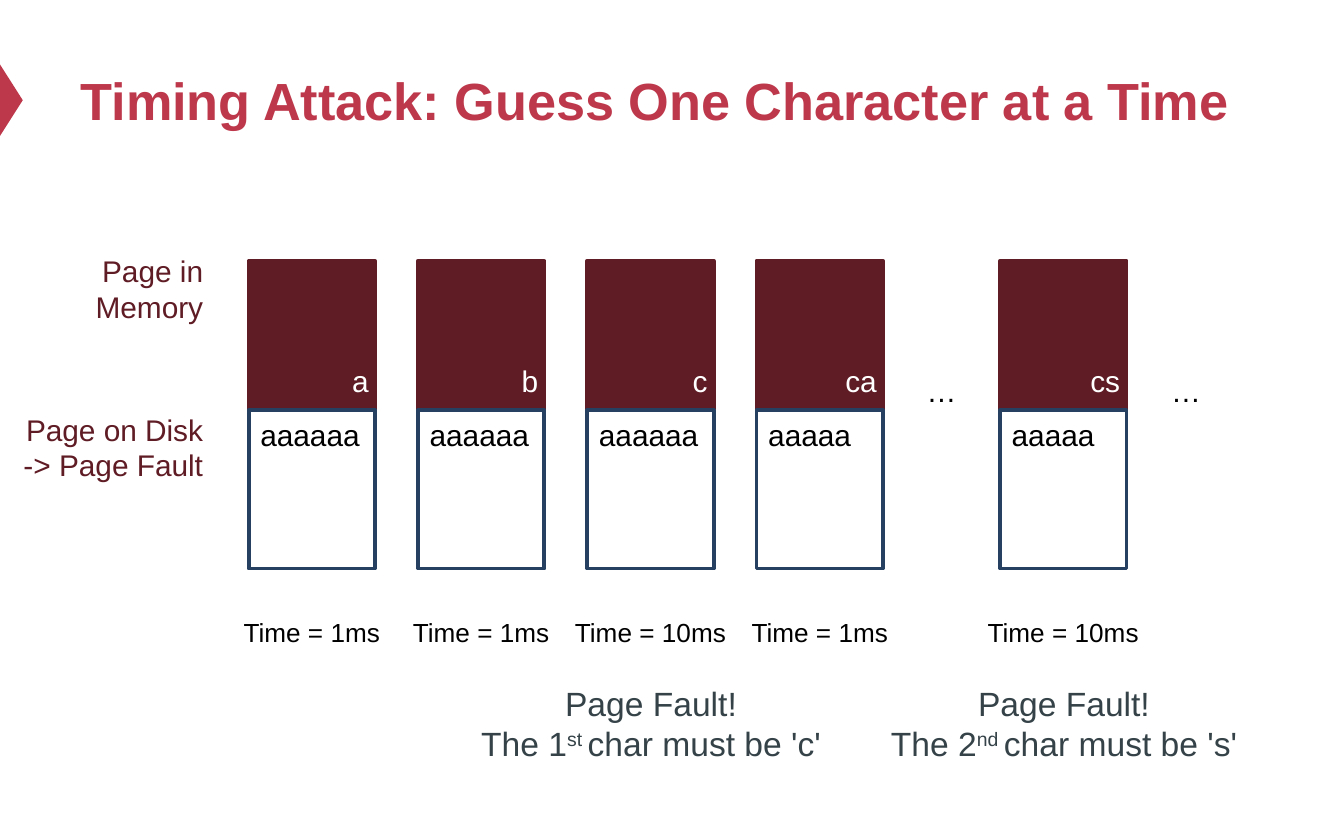
from dataclasses import dataclass

from pptx import Presentation
from pptx.dml.color import RGBColor
from pptx.enum.shapes import MSO_SHAPE as Shape
from pptx.enum.text import MSO_ANCHOR as Anchor, MSO_AUTO_SIZE as AutoSize, PP_ALIGN as Align
from pptx.util import Cm, Pt


@dataclass(frozen=True)
class Theme:
    """Colours, font and type sizes of the slide."""
    font: str = "Arial"
    accent: str = "BE384B"
    memory: str = "5F1C25"
    disk: str = "254061"
    verdict: str = "354348"
    black: str = "000000"
    white: str = "FFFFFF"
    title_size: int = 28
    verdict_size: int = 18
    body_size: int = 16
    time_size: int = 14
    border: int = 2


class SlideBuilder:
    """Adds styled elements to the current slide."""

    def __init__(self, slide, theme):
        self.slide = slide
        self.theme = theme

    def run(self, paragraph, text, size, color, bold=False, raised=False):
        """Add one styled run."""
        run = paragraph.add_run()
        run.text = text
        run.font.name = self.theme.font
        run.font.size = Pt(size)
        run.font.bold = bold
        run.font.color.rgb = RGBColor.from_string(color)
        if raised:
            run.font._element.set("baseline", "30000")

    def title(self, text, left, top, width, height):
        """Place and fill the title placeholder."""
        title = self.slide.shapes.title
        title.left, title.top, title.width, title.height = map(Cm, (left, top, width, height))
        title.text_frame.vertical_anchor = Anchor.MIDDLE
        paragraph = title.text_frame.paragraphs[0]
        paragraph.alignment = Align.LEFT
        self.run(paragraph, text, self.theme.title_size, self.theme.accent, bold=True)

    def shape(self, preset, left, top, width, height, fill=None, line=None, rotation=0):
        """Add a preset shape with optional fill and outline."""
        shape = self.slide.shapes.add_shape(preset, *map(Cm, (left, top, width, height)))
        shape.shadow.inherit = False
        shape.rotation = rotation
        if fill:
            shape.fill.solid()
            shape.fill.fore_color.rgb = RGBColor.from_string(fill)
        else:
            shape.fill.background()
        if line:
            shape.line.color.rgb = RGBColor.from_string(line)
            shape.line.width = Pt(self.theme.border)
        else:
            shape.line.fill.background()

    def text(self, paragraphs, left, top, width, height, size, color, align=Align.CENTER):
        """Add a text box; each paragraph is a list of (text, raised) pairs."""
        box = self.slide.shapes.add_textbox(*map(Cm, (left, top, width, height)))
        frame = box.text_frame
        frame.word_wrap = True
        frame.auto_size = AutoSize.SHAPE_TO_FIT_TEXT
        for index, pieces in enumerate(paragraphs):
            paragraph = frame.add_paragraph() if index else frame.paragraphs[0]
            paragraph.alignment = align
            for piece, raised in pieces:
                self.run(paragraph, piece, size, color, raised=raised)

    def label(self, text, *place, **style):
        """Add a text box with one plain run."""
        self.text([[(text, False)]], *place, **style)

    def guess(self, left, in_memory, on_disk, time):
        """Add one guess: two stacked pages, their characters and the time."""
        theme, body = self.theme, self.theme.body_size
        self.shape(Shape.RECTANGLE, left, 4.93, 2.39, 2.8, fill=theme.memory, line=theme.memory)
        self.shape(Shape.RECTANGLE, left, 7.75, 2.39, 3, line=theme.disk)
        self.label(in_memory, left + 0.69, 6.73, 1.83, 0.94,
                   size=body, color=theme.white, align=Align.RIGHT)
        self.label(on_disk, left - 0.03, 7.75, 2.59, 0.94,
                   size=body, color=theme.black, align=Align.LEFT)
        self.label(time, left - 0.61, 11.53, 3.61, 0.86, size=theme.time_size, color=theme.black)

    def verdict(self, left, width, number, suffix, character):
        """Add the conclusion drawn from a page fault."""
        self.text([[("Page Fault!", False)],
                   [(f"The {number}", False), (f"{suffix} ", True),
                    (f"char must be '{character}'", False)]],
                  left, 12.78, width, 2.57,
                  size=self.theme.verdict_size, color=self.theme.verdict)


def main():
    """Build and save the slide."""
    theme = Theme()
    deck = Presentation()
    deck.slide_width, deck.slide_height = Cm(25.4), Cm(15.88)
    builder = SlideBuilder(deck.slides.add_slide(deck.slide_layouts[5]), theme)

    builder.shape(Shape.ISOSCELES_TRIANGLE, -0.46, 1.68, 1.35, 0.43,
                  fill=theme.accent, rotation=90)
    builder.title("Timing Attack: Guess One Character at a Time", 1.27, 0.64, 22.86, 2.49)

    first_left, pitch, last_left = 4.7, 3.2, 18.9
    guesses = [("a", "aaaaaa", "Time = 1ms"), ("b", "aaaaaa", "Time = 1ms"),
               ("c", "aaaaaa", "Time = 10ms"), ("ca", "aaaaa", "Time = 1ms")]
    for column, guess in enumerate(guesses):
        builder.guess(first_left + column * pitch, *guess)
    builder.guess(last_left, "cs", "aaaaa", "Time = 10ms")

    for ellipsis_left in (16.69, 21.31):
        builder.label("…", ellipsis_left, 6.93, 2.21, 0.94,
                      size=theme.body_size, color=theme.black)

    for row_name, left, top, width in [("Page in Memory", 0.89, 4.65, 3.2),
                                       ("Page on Disk -> Page Fault", 0, 7.65, 4.09)]:
        builder.label(row_name, left, top, width, 1.63,
                      size=theme.body_size, color=theme.memory, align=Align.RIGHT)

    builder.verdict(8.76, 7.09, 1, "st", "c")
    builder.verdict(16.21, 7.8, 2, "nd", "s")
    deck.save("out.pptx")


if __name__ == "__main__":
    main()
